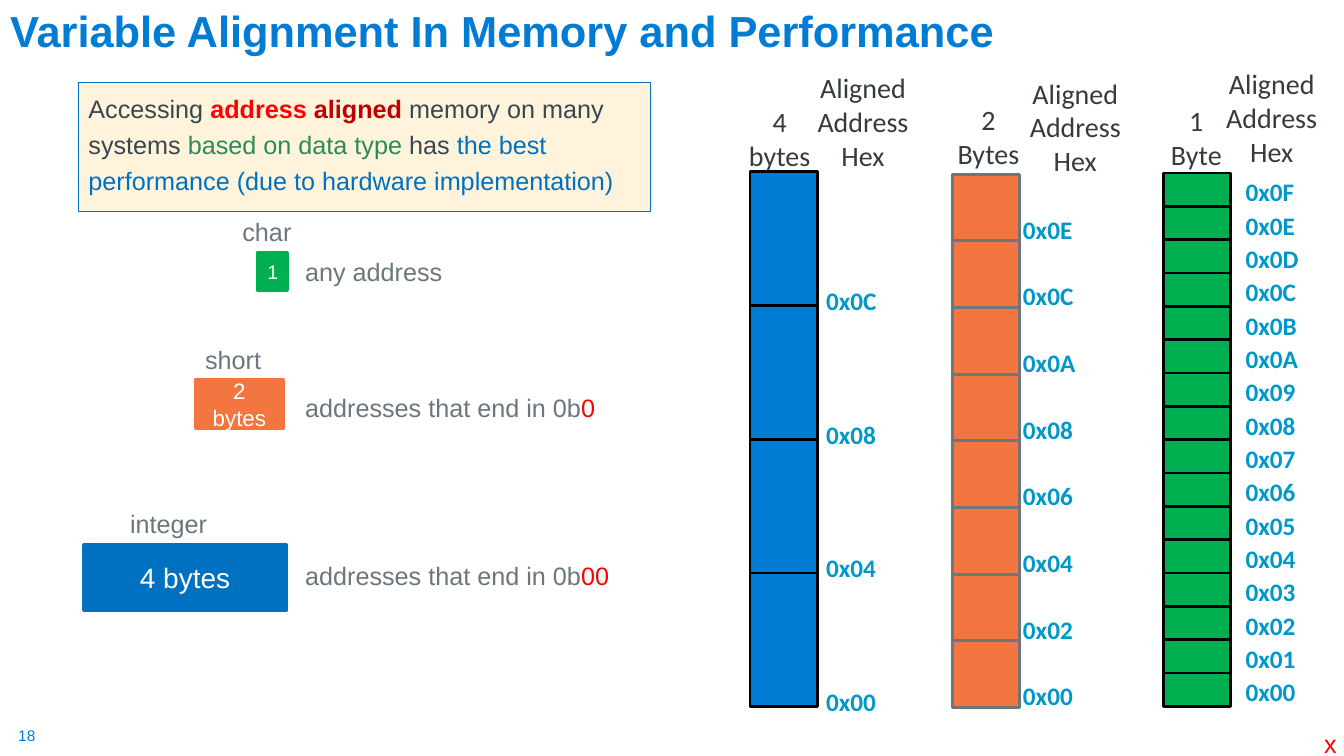
from dataclasses import dataclass

from pptx import Presentation
from pptx.dml.color import RGBColor
from pptx.enum.shapes import MSO_SHAPE as Preset
from pptx.enum.text import MSO_ANCHOR as Anchor, MSO_AUTO_SIZE as AutoSize, PP_ALIGN as Align
from pptx.util import Cm, Pt


@dataclass(frozen=True)
class Theme:
    blue: str = "007CD5"
    deep_blue: str = "0070C0"
    orange: str = "F3753F"
    orange_edge: str = "F37440"
    green: str = "00B050"
    leaf: str = "2C895B"
    cream: str = "FFF4DB"
    red: str = "FF0000"
    dark_red: str = "C00000"
    slate: str = "384851"
    gray: str = "6B767D"
    charcoal: str = "363B3E"
    cyan: str = "0098C9"
    black: str = "000000"
    white: str = "FFFFFF"
    title: int = 31
    heading: int = 20
    body: int = 18
    medium: int = 16
    small: int = 14
    number: int = 11
    sans: str = "Arial"
    humanist: str = "Calibri"


THEME = Theme()
LINE_HEIGHT = 1.02
ADDRESS_WIDTH = 1.9


def write(frame, paragraphs, size, face=THEME.sans, frame_format=None, paragraph_format=None):
    for name, value in (frame_format or {}).items():
        setattr(frame, name, value)
    for index, pieces in enumerate(paragraphs):
        paragraph = frame.add_paragraph() if index else frame.paragraphs[0]
        for name, value in (paragraph_format or {}).items():
            setattr(paragraph, name, value)
        for words, color, bold in pieces:
            run = paragraph.add_run()
            run.text = words
            for name, value in {"size": Pt(size), "name": face, "bold": bold}.items():
                setattr(run.font, name, value)
            run.font.color.rgb = RGBColor.from_string(color)


def add_label(slide, box, paragraphs, size=THEME.body, face=THEME.sans,
              wrap=False, align=Align.LEFT, inset=None):
    frame_format = {"word_wrap": wrap, "auto_size": AutoSize.SHAPE_TO_FIT_TEXT}
    if inset is not None:
        frame_format |= {f"margin_{side}": inset for side in ("left", "top", "right", "bottom")}
    label = slide.shapes.add_textbox(*map(Cm, box))
    write(label.text_frame, paragraphs, size, face, frame_format, {"alignment": align})


def add_box(slide, box, fill, edge, edge_width):
    block = slide.shapes.add_shape(Preset.RECTANGLE, *map(Cm, box))
    block.shadow.inherit = False
    block.fill.solid()
    block.fill.fore_color.rgb = RGBColor.from_string(fill)
    block.line.color.rgb = RGBColor.from_string(edge)
    block.line.width = Pt(edge_width)
    return block


def add_title(slide, box):
    title = slide.shapes.title
    for name, value in zip(("left", "top", "width", "height"), box):
        setattr(title, name, Cm(value))
    write(title.text_frame,
          [[("Variable Alignment In Memory and Performance", THEME.blue, True)]], THEME.title,
          frame_format={"vertical_anchor": Anchor.BOTTOM, "word_wrap": True,
                        "auto_size": AutoSize.NONE},
          paragraph_format={"alignment": Align.LEFT, "line_spacing": 0.9})


def add_advice(slide, box):
    advice = add_box(slide, box, THEME.cream, THEME.deep_blue, 0.75)
    sentence = [
        ("Accessing ", THEME.slate, False),
        ("address ", THEME.red, True),
        ("aligned ", THEME.dark_red, True),
        ("memory on many systems ", THEME.slate, False),
        ("based on data type", THEME.leaf, False),
        (" has ", THEME.slate, False),
        ("the best performance (due to hardware implementation)", THEME.deep_blue, False),
    ]
    write(advice.text_frame, [sentence], THEME.body,
          frame_format={"vertical_anchor": Anchor.TOP, "word_wrap": True},
          paragraph_format={"alignment": Align.LEFT, "line_spacing": 1.2,
                            "space_before": Pt(10)})


def add_data_type(slide, box, name, name_box, amount, size, fill, edge, rule, ending, rule_box):
    variable = add_box(slide, box, fill, edge, 2.5)
    write(variable.text_frame, [[(amount, THEME.white, False)]], size,
          frame_format={"vertical_anchor": Anchor.MIDDLE, "word_wrap": True},
          paragraph_format={"alignment": Align.CENTER})
    left, top, _, _ = box
    dx, dy, name_width = name_box
    add_label(slide, (left + dx, top + dy, name_width, LINE_HEIGHT),
              [[(name, THEME.gray, False)]])
    pieces = [(rule, THEME.gray, False)]
    if ending:
        pieces.append((ending, THEME.red, False))
    rule_left, rule_dy, rule_width = rule_box
    add_label(slide, (rule_left, top + rule_dy, rule_width, LINE_HEIGHT), [pieces])


def add_memory(slide, box, step, unit, fill, edge, unit_box, heading_offset, address_offset):
    left, top, width, height = box
    count = 16 // step
    pitch = height / count
    for row in range(count):
        add_box(slide, (left, top + row * pitch, width, pitch), fill, edge, 2)
    address_dx, address_dy = address_offset
    for row in range(count):
        address = f"0x{row * step:02X}"
        add_label(slide, (left + address_dx, top + height + address_dy - row * pitch,
                          ADDRESS_WIDTH, LINE_HEIGHT),
                  [[(address, THEME.cyan, True)]], face=THEME.humanist)
    unit_dx, unit_dy, unit_width = unit_box
    heading_dx, heading_dy = heading_offset
    headings = [
        ((left + unit_dx, top + unit_dy, unit_width, 1.96), (str(step), unit), False),
        ((left + heading_dx, top + heading_dy, 3.2, 2.82), ("Aligned Address", "Hex"), True),
    ]
    for heading_box, lines, wrap in headings:
        add_label(slide, heading_box, [[(line, THEME.charcoal, False)] for line in lines],
                  THEME.heading, THEME.humanist, wrap, Align.CENTER)


def add_footer(slide, box):
    left, top, width, _ = box
    add_label(slide, (left + 0.46, top + 0.07, 0.48, 0.48),
              [[("18", THEME.blue, False)]], THEME.number, inset=0)
    add_label(slide, (left + width - 0.75, top, 0.84, LINE_HEIGHT),
              [[("x", THEME.red, False)]])


def main():
    deck = Presentation()
    deck.slide_width, deck.slide_height = Cm(33.87), Cm(19.05)
    slide = deck.slides.add_slide(deck.slide_layouts[5])

    add_title(slide, (0, 0.46, 26.44, 1.09))
    add_advice(slide, (1.98, 2.07, 14.42, 3.25))

    ends_in = "addresses that end in 0b"
    data_types = [
        ((6.49, 6.37, 0.74, 0.94), "char", (-0.63, -1.04, 1.75), "1", THEME.small,
         THEME.green, THEME.green, "any address", "", (7.44, -0.04, 4.01)),
        ((4.93, 9.58, 2.21, 1.22), "short", (-0.01, -1.02, 1.93), "2 bytes", THEME.medium,
         THEME.orange, THEME.orange_edge, ends_in, "0", (7.44, 0.17, 7.9)),
        ((2.11, 13.74, 5.11, 1.63), "integer", (0.92, -1.05, 2.46), "4 bytes", THEME.heading,
         THEME.deep_blue, THEME.deep_blue, ends_in, "00", (7.44, 0.26, 8.26)),
    ]
    for data_type in data_types:
        add_data_type(slide, *data_type)

    memories = [
        ((18.9, 4.33, 1.7, 13.48), 4, "bytes", THEME.blue, THEME.black,
         (-0.29, -1.82, 2.08), (1.25, -2.67), (1.67, -0.64)),
        ((24, 4.39, 1.7, 13.44), 2, "Bytes", THEME.orange, THEME.gray,
         (-0.13, -1.93, 2.08), (1.5, -2.59), (1.53, -0.8)),
        ((29.32, 4.36, 1.7, 13.44), 1, "Byte", THEME.green, THEME.black,
         (-0.07, -1.87, 1.8), (1.13, -2.8), (1.82, -0.87)),
    ]
    for memory in memories:
        add_memory(slide, *memory)

    add_footer(slide, (0, 18.24, 33.87, 0.81))
    deck.save("out.pptx")


if __name__ == "__main__":
    main()
